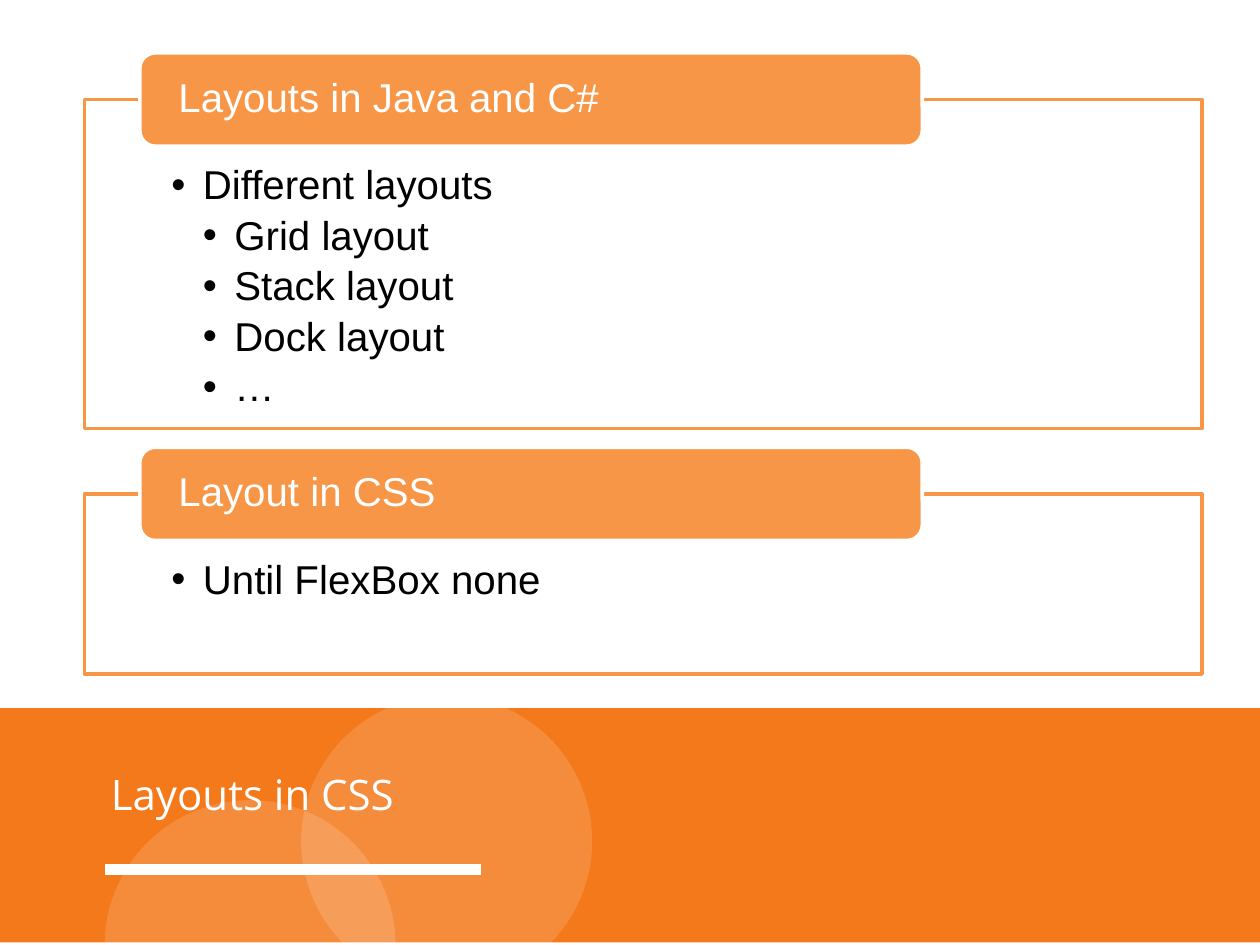
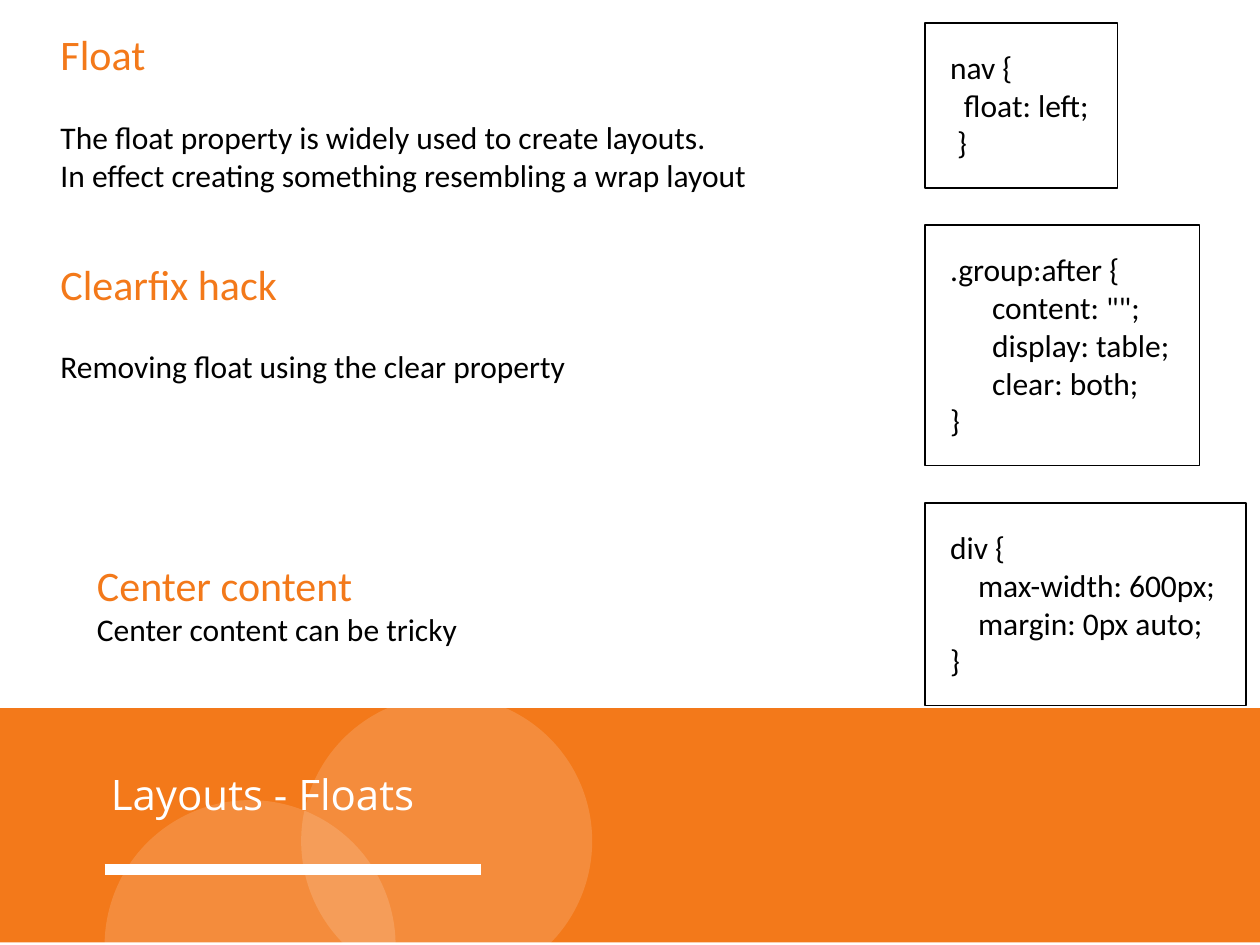
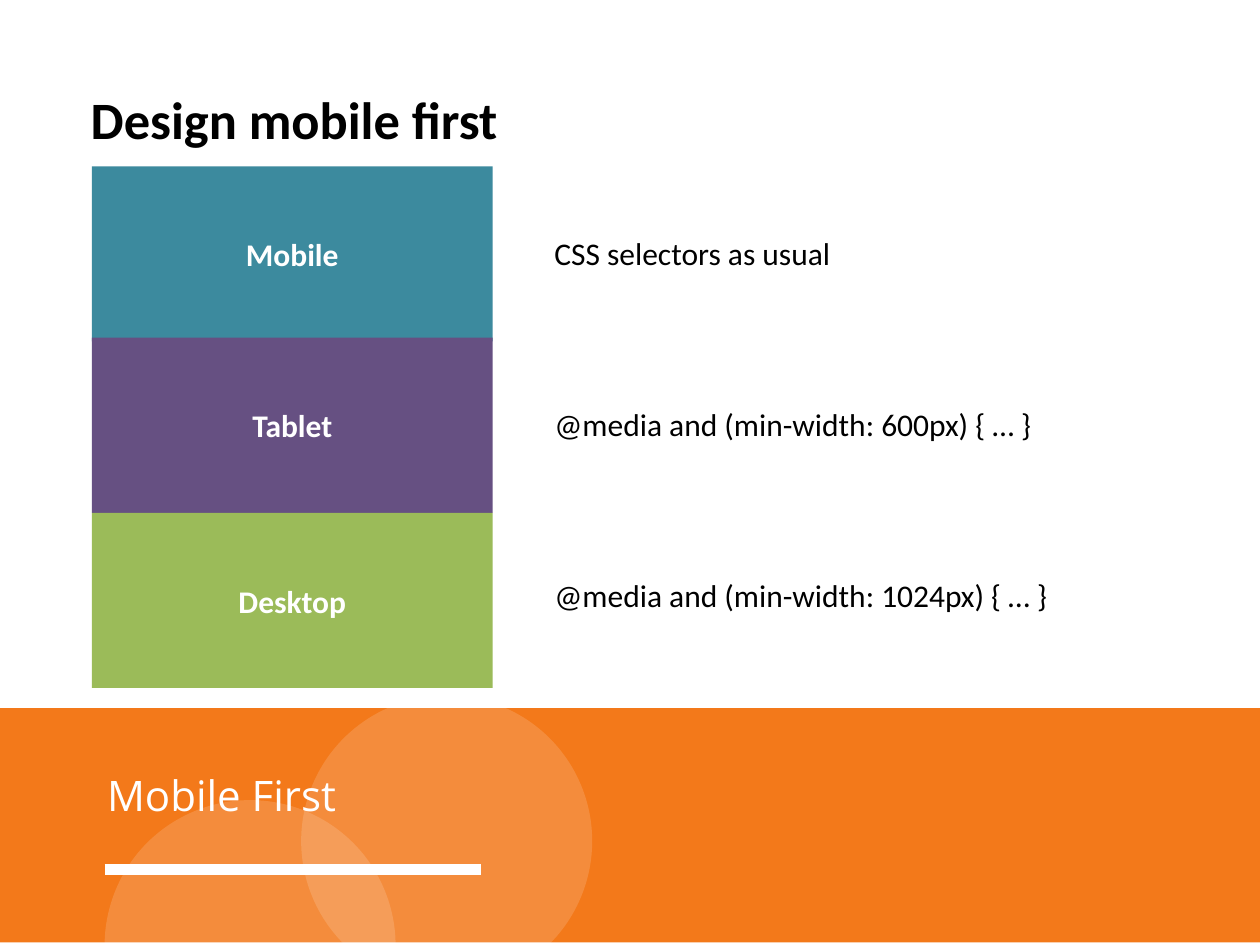
"""Build three slides on CSS layouts: overview, floats and mobile first."""
import dataclasses

import lxml.etree
import pptx
import pptx.dml.color
import pptx.enum.shapes
import pptx.enum.text
import pptx.oxml.ns
import pptx.util

SHAPE = pptx.enum.shapes.MSO_SHAPE
ANCHOR = pptx.enum.text.MSO_ANCHOR
ALIGN = pptx.enum.text.PP_ALIGN
CELL = pptx.util.Inches(0.1)
COLS, ROWS = 100, 75


@dataclasses.dataclass(frozen=True)
class Theme:
    """Colours, fonts and type sizes of the deck."""
    brand: str = "F3791A"
    card: str = "F79646"
    teal: str = "3C8A9E"
    plum: str = "665082"
    green: str = "9BBB59"
    white: str = "FFFFFF"
    black: str = "000000"
    title: str = "Open Sans"
    list: str = "Arial"
    body: str = "Calibri"
    big: int = 30
    head: int = 24
    item: int = 23
    text: int = 18


THEME = Theme()


def rgb(code):
    """Turn a hex code into a colour."""
    return pptx.dml.color.RGBColor.from_string(code)


def cells(*counts):
    """Turn grid cells into slide lengths."""
    return [round(count * CELL) for count in counts]


def add_tag(node, tag, **attrs):
    """Append a drawing element to a node."""
    return lxml.etree.SubElement(node, pptx.oxml.ns.qn(tag), **attrs)


def add_box(slide, area, fill=None, line=None, width=1, kind=SHAPE.RECTANGLE, alpha=None):
    """Draw a preset shape, with an optional fill, outline and opacity in percent."""
    box = slide.shapes.add_shape(kind, *cells(*area))
    box.shadow.inherit = False
    if fill:
        box.fill.solid()
        box.fill.fore_color.rgb = rgb(fill)
    else:
        box.fill.background()
    if alpha:
        tint = box._element.spPr.find(".//" + pptx.oxml.ns.qn("a:srgbClr"))
        add_tag(tint, "a:alpha", val=str(alpha * 1000))
    if line:
        box.line.color.rgb = rgb(line)
        box.line.width = pptx.util.Pt(width)
    else:
        box.line.fill.background()
    return box


def write(box, lines, size, color, font=THEME.body, bold=False, align=ALIGN.LEFT,
          anchor=ANCHOR.TOP, pad=(0.5, 0.5), wrap=True):
    """Fill a shape with lines of one style and return its paragraphs."""
    frame = box.text_frame
    frame.text = "\n".join(lines)
    frame.word_wrap = wrap
    frame.vertical_anchor = anchor
    fit = pptx.enum.text.MSO_AUTO_SIZE
    frame.auto_size = fit.NONE if wrap else fit.SHAPE_TO_FIT_TEXT
    frame.margin_left, frame.margin_top = cells(*pad)
    frame.margin_right, frame.margin_bottom = cells(*pad)
    for para in frame.paragraphs:
        para.alignment = align
        for run in para.runs:
            style(run.font, size, color, font, bold)
    return frame.paragraphs


def style(face, size, color, font=THEME.body, bold=False):
    """Set the look of a font."""
    face.size = pptx.util.Pt(size)
    face.color.rgb = rgb(color)
    face.name = font
    face.bold = bold


def add_text(slide, area, lines, size=THEME.text, color=THEME.black, **look):
    """Place a plain text box."""
    box = slide.shapes.add_textbox(*cells(*area))
    return write(box, lines, size, color, **look)


def add_slide(deck, title, left=8.3, top=58.5):
    """Add a blank slide with the orange band and its title."""
    slide = deck.slides.add_slide(deck.slide_layouts[6])
    add_box(slide, (0, 56.2, COLS, 18.6), THEME.brand)
    ends = cells(8.3, 69, 38.2, 69)
    rule = slide.shapes.add_connector(pptx.enum.shapes.MSO_CONNECTOR.STRAIGHT, *ends)
    rule.line.color.rgb = rgb(THEME.white)
    rule.line.width = pptx.util.Pt(6)
    add_tag(rule._element.spPr, "a:effectLst")
    for x, y in ((23.9, 55.2), (8.3, 63.5)):
        add_box(slide, (x, y, 23.1, 23.1), THEME.white, kind=SHAPE.OVAL, alpha=15)
    para = add_text(slide, (left, top, 70, 19.2), [title], THEME.head,
                    THEME.white, font=THEME.title)[0]
    para.line_spacing = 1.5
    para.space_before = pptx.util.Pt(5)
    return slide


def indent(para, left, hang=0):
    """Indent a paragraph, with an optional hanging first line."""
    props = para._p.get_or_add_pPr()
    props.set("marL", str(left))
    props.set("indent", str(-hang))
    return props


def add_card(slide, top, height, title, items):
    """Draw a framed list of (level, text) items under a rounded tab."""
    frame = add_box(slide, (6.7, top, 88.7, height), THEME.white, THEME.card, 2)
    paras = write(frame, [text for _, text in items], THEME.item, THEME.black,
                  THEME.list, pad=(6.9, 5.2))
    step = cells(2.5)[0]
    for para, (level, _) in zip(paras, items):
        para.level = level
        para.line_spacing = 0.9
        para.space_after = pptx.util.Pt(4)
        props = indent(para, level * step, step)
        add_tag(props, "a:buFont", typeface=THEME.list)
        add_tag(props, "a:buChar", char="•")
    tab = add_box(slide, (11.1, top - 3.7, 62.1, 7.4), THEME.card, THEME.white, 2,
                  SHAPE.ROUNDED_RECTANGLE)
    para = write(tab, [title], THEME.item, THEME.white, THEME.list,
                 anchor=ANCHOR.MIDDLE, pad=(2.7, 0.4))[0]
    para.line_spacing = 0.9


def add_code(slide, top, width, lines):
    """Draw a framed code block of (indent, text) lines and return its bottom."""
    height = 3 * len(lines) + 4.1
    box = add_box(slide, (73.4, top, width, height), line=THEME.black)
    paras = write(box, [text for _, text in lines], THEME.text, THEME.black,
                  pad=(2, 2), wrap=False)
    for para, (depth, _) in zip(paras, lines):
        indent(para, depth * pptx.util.Pt(4))
    return top + height


def add_note(slide, area, head, lines, gap=0, wrap=False):
    """Place an orange heading above plain lines, with a gap in points."""
    paras = add_text(slide, area, [head, *lines], wrap=wrap)
    style(paras[0].runs[0].font, THEME.head, THEME.brand)
    paras[1].space_before = pptx.util.Pt(gap)


def show_cards(deck):
    """Compare layouts in other languages with CSS."""
    slide = add_slide(deck, "Layouts in CSS")
    add_card(slide, 7.9, 26.1, "Layouts in Java and C#", [
        (1, "Different layouts"), (2, "Grid layout"), (2, "Stack layout"),
        (2, "Dock layout"), (2, "…")])
    add_card(slide, 39.2, 14.3, "Layout in CSS", [(1, "Until FlexBox none")])


def show_floats(deck):
    """Explain floats, clearing and centring beside their code."""
    slide = add_slide(deck, "Layouts - Floats")
    add_note(slide, (4.3, 1.8, 61.8, 14.1), "Float", [
        "The float property is widely used to create layouts.",
        "In effect creating something resembling a wrap layout"], 22, True)
    add_note(slide, (4.3, 20, 41.7, 11.1), "Clearfix hack",
             ["Removing float using the clear property"], 22)
    add_note(slide, (7.2, 43.9, 30.7, 8.1), "Center content",
             ["Center content can be tricky"])
    blocks = [
        (15.3, [(0, "nav {"), (2, "float: left;"), (1, "}")]),
        (21.8, [(0, ".group:after {"), (6, 'content: "";'),
                (6, "display: table;"), (6, "clear: both;"), (0, "}")]),
        (25.5, [(0, "div {"), (4, "max-width: 600px;"),
                (4, "margin: 0px auto;"), (0, "}")]),
    ]
    top = 1.8
    for width, lines in blocks:
        top = add_code(slide, top, width, lines) + 2.95


def show_mobile(deck):
    """Stack the device sizes beside their selectors."""
    slide = add_slide(deck, "Mobile First", 8, 58.6)
    add_text(slide, (6.7, 6.4, 33.5, 6.1), ["Design mobile first"], THEME.big,
             bold=True, wrap=False)
    sizes = [
        (13.2, THEME.teal, "Mobile", 23.1, "CSS selectors as usual"),
        (26.8, THEME.plum, "Tablet", 39, "@media and (min-width: 600px) { … }"),
        (40.7, THEME.green, "Desktop", 40.3, "@media and (min-width: 1024px) { … }"),
    ]
    for row, (top, fill, name, width, rule) in enumerate(sizes):
        box = add_box(slide, (7.3, top, 31.8, 13.9), fill)
        write(box, [name], THEME.text, THEME.white, bold=True,
              align=ALIGN.CENTER, anchor=ANCHOR.MIDDLE)
        add_text(slide, (43.5, 18.1 + 13.55 * row, width, 4.1), [rule], wrap=False)


def main():
    """Build and save the deck."""
    deck = pptx.Presentation()
    deck.slide_width, deck.slide_height = cells(COLS, ROWS)
    show_cards(deck)
    show_floats(deck)
    show_mobile(deck)
    deck.save("out.pptx")


if __name__ == "__main__":
    main()
